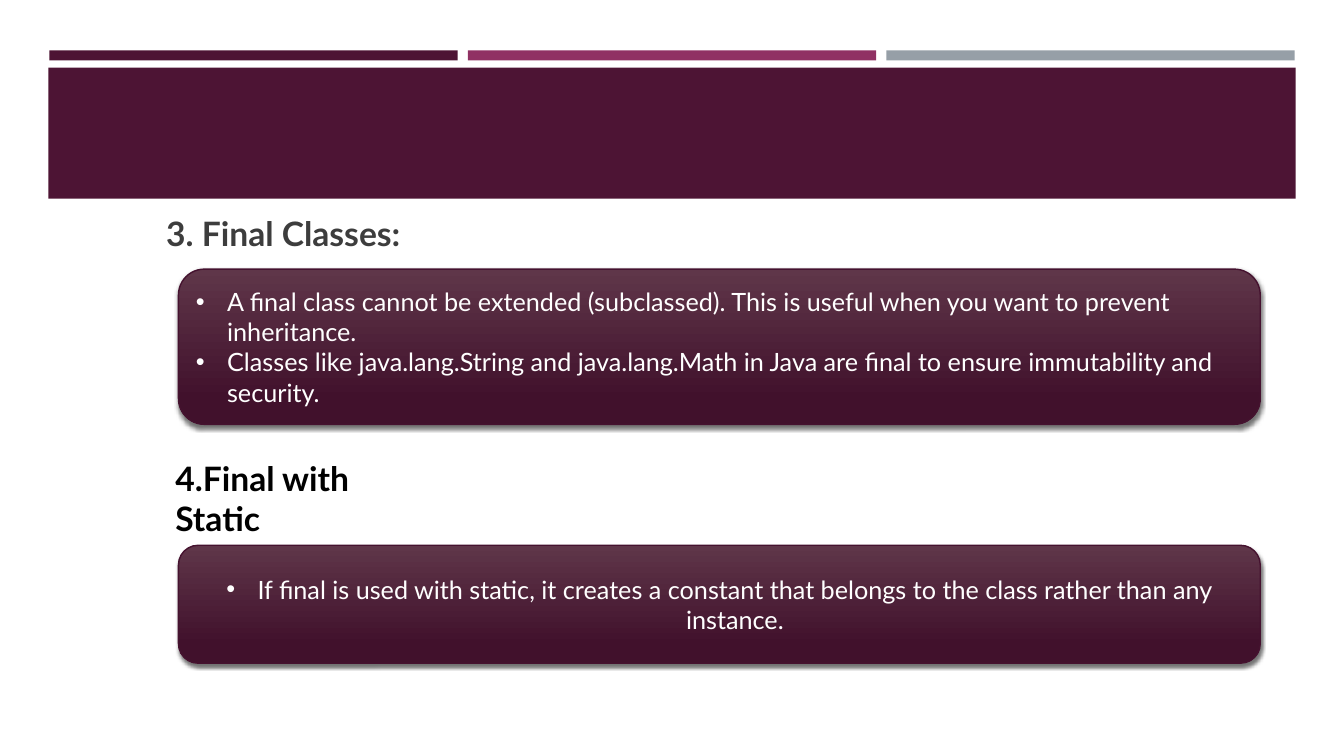
from lxml.etree import SubElement
from pptx import Presentation
from pptx.dml.color import RGBColor
from pptx.enum.shapes import MSO_SHAPE as Shape
from pptx.enum.text import MSO_ANCHOR as Anchor, PP_ALIGN as Align
from pptx.oxml.ns import qn
from pptx.util import Inches, Pt

COLORS = {
    "plum": "4D1434",
    "rose": "903163",
    "gray": "969FA7",
    "top": "5F3649",
    "base": "41112C",
    "edge": "45122F",
    "dark": "3D3D3D",
    "black": "000000",
    "white": "FFFFFF",
}
FONT = "Lato"


def tint(name):
    return RGBColor.from_string(COLORS[name])


def style(para, size, color, bold=False):
    for run in para.runs:
        run.font.name = FONT
        run.font.size = Pt(size)
        run.font.bold = bold
        run.font.color.rgb = tint(color)


def add_bar(slide, box, color):
    bar = slide.shapes.add_shape(Shape.RECTANGLE, *map(Inches, box))
    bar.shadow.inherit = False
    bar.fill.solid()
    bar.fill.fore_color.rgb = tint(color)
    bar.line.fill.background()


def add_head(slide, box, text, color):
    frame = slide.shapes.add_textbox(*map(Inches, box)).text_frame
    frame.word_wrap = True
    frame.text = text
    style(frame.paragraphs[0], 24, color, True)


def add_shadow(shape):
    shape.shadow.inherit = False
    effects = shape.element.spPr.find(qn("a:effectLst"))
    outer = SubElement(effects, qn("a:outerShdw"), blurRad=str(Pt(3)),
                       dist=str(Pt(2)), dir="5400000", rotWithShape="0")
    shade = SubElement(outer, qn("a:srgbClr"), val=COLORS["black"])
    SubElement(shade, qn("a:alpha"), val="55000")


def add_bullet(para):
    props = para._p.get_or_add_pPr()
    indent = Inches(0.31)
    props.set("marL", str(indent))
    props.set("indent", str(-indent))
    SubElement(props, qn("a:buFont"), typeface="Arial")
    SubElement(props, qn("a:buChar"), char="•")


def add_panel(slide, top, height, points, align):
    box = map(Inches, (1.77, top, 10.73, height))
    panel = slide.shapes.add_shape(Shape.ROUNDED_RECTANGLE, *box)
    panel.fill.gradient()
    panel.fill.gradient_angle = 270
    stops = zip(panel.fill.gradient_stops, (("top", 0), ("base", 0.84)))
    for stop, (color, place) in stops:
        stop.color.rgb = tint(color)
        stop.position = place
    panel.line.color.rgb = tint("edge")
    panel.line.width = Pt(1)
    add_shadow(panel)
    frame = panel.text_frame
    frame.word_wrap = True
    frame.vertical_anchor = Anchor.MIDDLE
    frame.text = "\n".join(points)
    for para in frame.paragraphs:
        para.alignment = align
        add_bullet(para)
        style(para, 18, "white")


def main():
    deck = Presentation()
    deck.slide_width = Inches(13.33)
    deck.slide_height = Inches(7.5)
    slide = deck.slides.add_slide(deck.slide_layouts[6])

    for col, color in enumerate(("plum", "rose", "gray")):
        add_bar(slide, (0.49 + 4.15 * col, 0.5, 4.05, 0.1), color)
    add_bar(slide, (0.48, 0.67, 12.37, 1.3), "plum")

    add_head(slide, (1.55, 2.06, 8.29, 0.5), "3. Final Classes:", "dark")
    add_panel(slide, 2.67, 1.54, (
        "A final class cannot be extended (subclassed). "
        "This is useful when you want to prevent inheritance.",
        "Classes like java.lang.String and java.lang.Math in Java "
        "are final to ensure immutability and security.",
    ), Align.LEFT)

    add_head(slide, (1.64, 4.49, 2.75, 0.9), "4.Final with Static", "black")
    add_panel(slide, 5.41, 1.17, (
        "If final is used with static, it creates a constant that "
        "belongs to the class rather than any instance.",
    ), Align.CENTER)

    deck.save("out.pptx")


if __name__ == "__main__":
    main()
